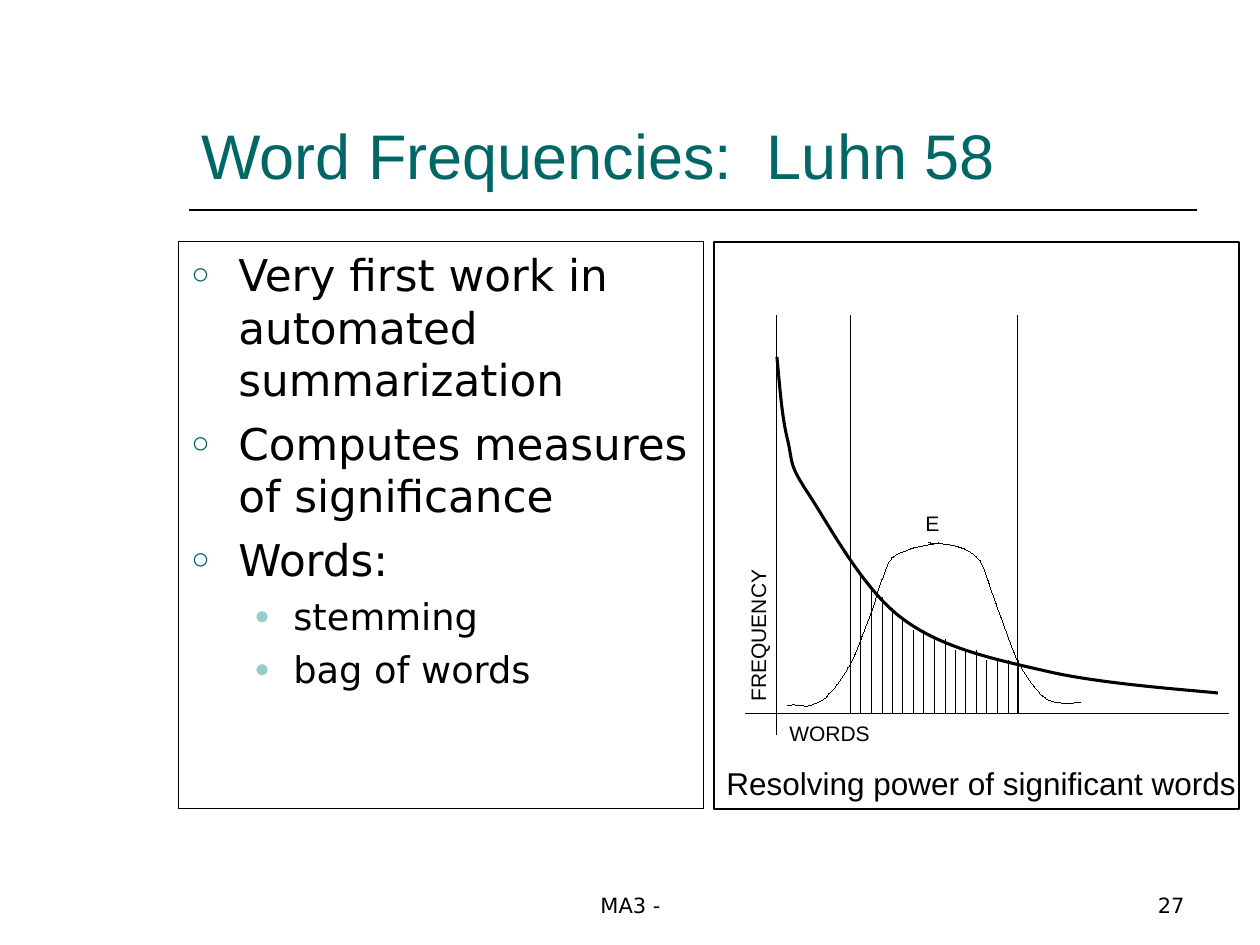
"""Build the slide on Luhn's word frequencies with its significance diagram."""
from lxml.etree import SubElement
from pptx import Presentation
from pptx.dml.color import RGBColor
from pptx.enum.shapes import MSO_CONNECTOR, MSO_SHAPE
from pptx.enum.text import MSO_ANCHOR, PP_ALIGN
from pptx.oxml.ns import qn
from pptx.util import Pt

SCALE = 914400 / 126
COLORS = {"black": "000000", "teal": "006666", "aqua": "99CCCC"}

BULLETS = [
    ("Very first work in automated summarization", 0),
    ("Computes measures of significance", 0),
    ("Words:", 0),
    ("stemming", 1),
    ("bag of words", 1),
]
LEVELS = [
    {"size": 25, "left": 47, "hang": 47, "before": 6.2, "mark": "○", "color": "teal"},
    {"size": 21, "left": 102, "hang": 39, "before": 5.2, "mark": "●", "color": "aqua"},
]

LEFT, CENTER, RIGHT = PP_ALIGN.LEFT, PP_ALIGN.CENTER, PP_ALIGN.RIGHT
TOP, BOTTOM = MSO_ANCHOR.TOP, MSO_ANCHOR.BOTTOM
LABELS = [
    ("Word Frequencies:  Luhn 58", (189, 40, 1008, 158), 36, "Arial", "teal", LEFT, BOTTOM, 0),
    ("WORDS", (777, 714, 116, 38), 12, "Arial", "black", LEFT, TOP, 0),
    ("FREQUENCY", (679, 616, 158, 38), 12, "Arial", "black", LEFT, TOP, 270),
    ("E", (913, 504, 42, 38), 12, "Arial", "black", LEFT, TOP, 0),
    ("Resolving power of significant words", (714, 758, 546, 50), 18, "Arial", "black", LEFT, TOP, 0),
    ("MA3 -", (431, 861, 399, 63), 12, "DejaVu Sans", "black", CENTER, BOTTOM, 0),
    ("27", (903, 861, 294, 63), 12, "DejaVu Sans", "black", RIGHT, BOTTOM, 0),
]

TEXT_PANEL = (179, 242, 525, 567)
DIAGRAM_PANEL = (714, 242, 525, 567)
TITLE_RULE = (189, 210, 1197, 210)
BASELINE = 714
AXES_AND_CUTOFFS = [
    (777, 315, 777, 735),
    (746, BASELINE, 1229, BASELINE),
    (851, 315, 851, BASELINE),
    (1018, 315, 1018, BASELINE),
]
HATCH_START, HATCH_STEP = 861, 10.5
HATCH_TOPS = [577, 588, 598, 609, 620, 630, 630, 640, 640, 651, 651, 651, 661, 661, 661, 661]

FREQUENCY_CURVE = [
    (777, 357), (780, 388), (782, 418), (788, 441), (793, 464), (789, 464), (808, 493),
    (828, 523), (863, 590), (903, 619), (943, 649), (998, 660), (1050, 672),
    (1103, 684), (1189, 690), (1218, 693),
]
BELL_RIGHT = [
    (929, 543), (932, 543), (948, 544), (955, 546), (964, 548), (971, 552), (977, 557),
    (982, 562), (984, 568), (987, 577), (990, 586), (993, 595), (998, 609),
    (1003, 622), (1012, 648), (1018, 662), (1026, 675), (1032, 685), (1040, 693),
    (1047, 701), (1053, 702), (1061, 703), (1067, 705), (1075, 702), (1081, 703),
]
BELL_LEFT = [
    (939, 543), (934, 544), (921, 546), (914, 548), (906, 551), (897, 553), (892, 558),
    (887, 563), (886, 571), (882, 580), (878, 588), (877, 597), (872, 611),
    (866, 625), (858, 649), (851, 663), (843, 677), (836, 687), (829, 694),
    (823, 702), (816, 703), (809, 706), (801, 707), (795, 703), (788, 706),
]
CURVES = [(FREQUENCY_CURVE, 1.75), (BELL_RIGHT, None), (BELL_LEFT, None)]


def emu(*lengths):
    return [round(length * SCALE) for length in lengths]


def color(name):
    return RGBColor.from_string(COLORS[name])


def style_line(shape, width):
    shape.line.color.rgb = color("black")
    if width:
        shape.line.width = Pt(width)
    shape._element.remove(shape._element.find(qn("p:style")))


def add_line(slide, ends, width=None):
    line = slide.shapes.add_connector(MSO_CONNECTOR.STRAIGHT, *emu(*ends))
    style_line(line, width)
    SubElement(line._element.spPr, qn("a:effectLst"))


def add_panel(slide, place, width=None):
    panel = slide.shapes.add_shape(MSO_SHAPE.RECTANGLE, *emu(*place))
    panel.shadow.inherit = False
    panel.fill.background()
    style_line(panel, width)
    return panel


def add_curve(slide, points, width):
    builder = slide.shapes.build_freeform(*emu(*points[0]), scale=1.0)
    builder.add_line_segments([emu(*point) for point in points[1:]], close=False)
    curve = builder.convert_to_shape()
    outline = next(curve._element.iter(qn("a:path")))
    segments = outline.findall(qn("a:lnTo"))
    for start in range(0, len(segments), 3):
        bezier = SubElement(outline, qn("a:cubicBezTo"))
        for segment in segments[start:start + 3]:
            bezier.append(segment[0])
            outline.remove(segment)
    curve.shadow.inherit = False
    curve.fill.background()
    style_line(curve, width)


def style_span(span, size, font, color_name):
    span.font.size = Pt(size)
    span.font.name = font
    span.font.color.rgb = color(color_name)


def add_label(slide, text, place, size, font, color_name, align, anchor, rotation):
    box = slide.shapes.add_textbox(*emu(*place))
    box.rotation = rotation
    frame = box.text_frame
    frame.word_wrap = True
    frame.vertical_anchor = anchor
    frame.text = text
    para = frame.paragraphs[0]
    para.alignment = align
    style_span(para.runs[0], size, font, color_name)


def add_bullet(para, level):
    properties = para._p.get_or_add_pPr()
    left, hang = emu(level["left"], level["hang"])
    properties.set("marL", str(left))
    properties.set("indent", str(-hang))
    tint = SubElement(properties, qn("a:buClr"))
    SubElement(tint, qn("a:srgbClr"), val=COLORS[level["color"]])
    SubElement(properties, qn("a:buSzPct"), val="70000")
    SubElement(properties, qn("a:buFont"), typeface="Arial")
    SubElement(properties, qn("a:buChar"), char=level["mark"])


def fill_bullets(panel):
    frame = panel.text_frame
    frame.word_wrap = True
    frame.vertical_anchor = TOP
    frame.text = "\n".join(text for text, _ in BULLETS)
    for index, (para, (_, depth)) in enumerate(zip(frame.paragraphs, BULLETS)):
        level = LEVELS[depth]
        para.level = depth
        para.alignment = LEFT
        add_bullet(para, level)
        para.space_before = Pt(level["before"] if index else 0)
        style_span(para.runs[0], level["size"], "DejaVu Sans", "black")


def main():
    deck = Presentation()
    deck.slide_width, deck.slide_height = emu(1260, 945)
    slide = deck.slides.add_slide(deck.slide_layouts[6])
    add_line(slide, TITLE_RULE, 1)
    fill_bullets(add_panel(slide, TEXT_PANEL))
    for ends in AXES_AND_CUTOFFS:
        add_line(slide, ends)
    for index, top in enumerate(HATCH_TOPS):
        x = HATCH_START + index * HATCH_STEP
        add_line(slide, (x, top, x, BASELINE))
    for points, width in CURVES:
        add_curve(slide, points, width)
    for label in LABELS:
        add_label(slide, *label)
    add_panel(slide, DIAGRAM_PANEL, 0.75)
    deck.save("out.pptx")


if __name__ == "__main__":
    main()
